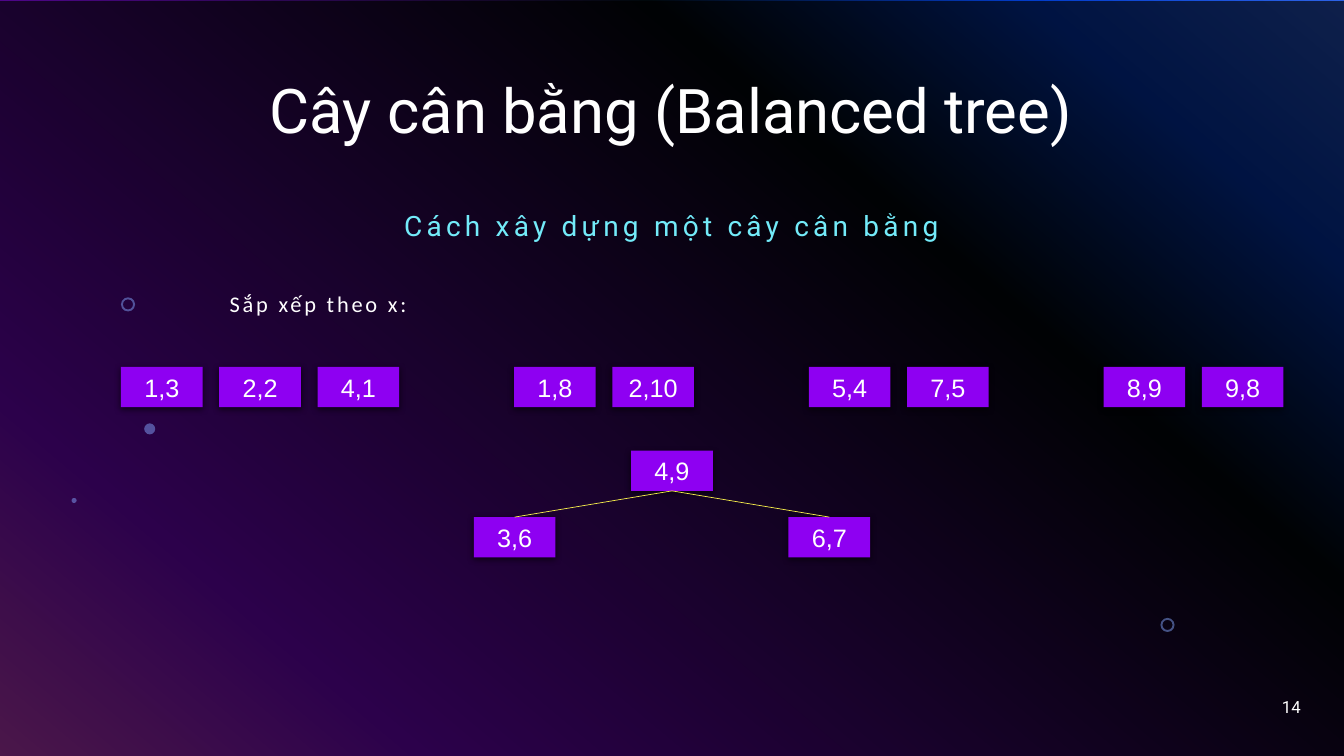
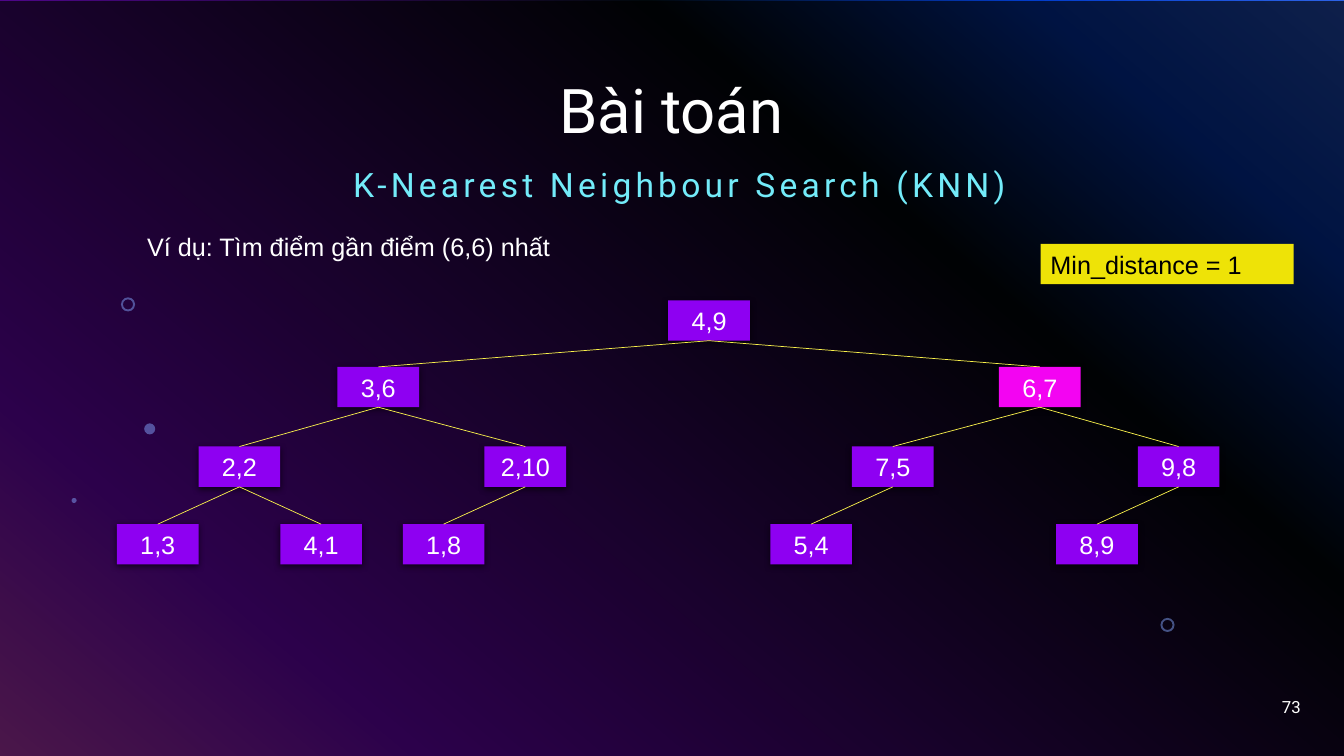
"""Builds two slides on balanced trees and nearest neighbour search."""
from lxml.etree import SubElement
from pptx import Presentation
from pptx.dml.color import RGBColor
from pptx.enum.shapes import MSO_CONNECTOR, MSO_SHAPE
from pptx.enum.text import MSO_ANCHOR, MSO_AUTO_SIZE, PP_ALIGN
from pptx.oxml.ns import qn
from pptx.util import Inches, Pt

WHITE = RGBColor(0xFF, 0xFF, 0xFF)
BLACK = RGBColor(0x00, 0x00, 0x00)
CYAN = RGBColor(0x73, 0xEB, 0xF9)
PURPLE = RGBColor(0x8E, 0x00, 0xF2)
PINK = RGBColor(0xF3, 0x04, 0xF2)
YELLOW = RGBColor(0xEE, 0xE3, 0x07)
BRANCH = RGBColor(0xFA, 0xF2, 0x4C)
ORNAMENT = RGBColor(0x83, 0xA7, 0xFD)
BACKGROUND = [
    (0, RGBColor(0x31, 0x6C, 0xFC)),
    (14, RGBColor(0x03, 0x43, 0xDF)),
    (31, RGBColor(0x02, 0x09, 0x0E)),
    (81, RGBColor(0x94, 0x05, 0xFC)),
    (100, RGBColor(0xFC, 0x4E, 0xFB)),
]

SLIDE_W, SLIDE_H = 13.33, 7.5
NODE_W, NODE_H = 0.81, 0.4

ORNAMENTS = [
    (MSO_SHAPE.DONUT, 11.51, 6.13, 0.14, 0.14),
    (MSO_SHAPE.DONUT, 1.2, 2.95, 0.14, 0.14),
    (MSO_SHAPE.OVAL, 1.43, 4.2, 0.11, 0.11),
    (MSO_SHAPE.OVAL, 0.71, 4.94, 0.05, 0.05),
]

SORTED_LEFT = 1.2
SORTED_PITCH = 10.72 / 11
SORTED_TOP = 3.64
SORTED_POINTS = [
    ("1,3", 0), ("2,2", 1), ("4,1", 2),
    ("1,8", 4), ("2,10", 5),
    ("5,4", 7), ("7,5", 8),
    ("8,9", 10), ("9,8", 11),
]

SMALL_TREE_LEFT, SMALL_TREE_PITCH = 4.7, 1.56
SMALL_TREE_ROWS = [4.47, 5.13]
SMALL_TREE = [
    ("4,9", None, 1, 0),
    ("3,6", "4,9", 0, 1),
    ("6,7", "4,9", 2, 1),
]

FULL_TREE_LEFT = 1.16
FULL_TREE_ROWS = [2.98, 3.64, 4.43, 5.2]
FULL_TREE = [
    ("4,9", None, 6.75, 0),
    ("3,6", "4,9", 2.7, 1),
    ("6,7", "4,9", 10.8, 1),
    ("2,2", "3,6", 1, 2),
    ("2,10", "3,6", 4.5, 2),
    ("7,5", "6,7", 9, 2),
    ("9,8", "6,7", 12.5, 2),
    ("1,3", "2,2", 0, 3),
    ("4,1", "2,2", 2, 3),
    ("1,8", "2,10", 3.5, 3),
    ("5,4", "7,5", 8, 3),
    ("8,9", "9,8", 11.5, 3),
]


def write(sp, text, size, color, font="Arial", align=PP_ALIGN.LEFT,
          anchor=MSO_ANCHOR.TOP, spacing=None, tracking=0):
    """Put one styled paragraph into a shape."""
    tf = sp.text_frame
    tf.word_wrap = True
    tf.vertical_anchor = anchor
    p = tf.paragraphs[0]
    p.alignment = align
    p.line_spacing = spacing
    r = p.add_run()
    r.text = text
    p.font.name = font
    p.font.size = Pt(size)
    p.font.color.rgb = color
    if tracking:
        r.font.language_id = None
        r._r.get_or_add_rPr().set("spc", str(tracking * 100))


def add_text(s, box, text, size, color, **style):
    """Add a text box at left, top, width, height."""
    sp = s.shapes.add_textbox(*map(Inches, box))
    write(sp, text, size, color, **style)


def add_filled(s, kind, box, color, alpha=None):
    """Add a preset shape with a flat fill and no outline."""
    sp = s.shapes.add_shape(kind, *map(Inches, box))
    sp.shadow.inherit = False
    sp.fill.solid()
    sp.fill.fore_color.rgb = color
    sp.line.fill.background()
    if alpha:
        clr = sp._element.spPr.find(qn("a:solidFill")).find(qn("a:srgbClr"))
        SubElement(clr, qn("a:alpha"), val=str(alpha * 1000))
    return sp


def add_node(s, label, left, top, color=PURPLE):
    """Add a tree node with a soft shadow below it."""
    sp = add_filled(s, MSO_SHAPE.RECTANGLE, (left, top, NODE_W, NODE_H), color)
    effects = sp._element.spPr.find(qn("a:effectLst"))
    shadow = SubElement(effects, qn("a:outerShdw"), blurRad=str(Pt(4.5)),
                        dist=str(Pt(1.5)), dir="5400000", algn="ctr", rotWithShape="0")
    clr = SubElement(shadow, qn("a:srgbClr"), val=str(BLACK))
    SubElement(clr, qn("a:alpha"), val="63000")
    write(sp, label, 18, WHITE, align=PP_ALIGN.CENTER)
    sp.text_frame.auto_size = MSO_AUTO_SIZE.SHAPE_TO_FIT_TEXT
    return sp


def add_branch(s, parent, child):
    """Join the bottom of a parent node to the top of its child."""
    line = s.shapes.add_connector(MSO_CONNECTOR.STRAIGHT, 0, 0, 0, 0)
    line.begin_connect(parent, 2)
    line.end_connect(child, 0)
    line.line.color.rgb = BRANCH
    line.line.width = Pt(0.5)
    SubElement(line._element.spPr, qn("a:effectLst"))


def add_tree(s, tree, left, pitch, rows, marked=None):
    """Draw nodes on a grid of columns and rows, then their branches."""
    nodes = {
        label: add_node(s, label, left + col * pitch, rows[row],
                        PINK if label == marked else PURPLE)
        for label, _, col, row in tree
    }
    for label, parent, _, _ in tree:
        if parent:
            add_branch(s, nodes[parent], nodes[label])


def paint_background(s):
    """Fill the slide with the diagonal gradient."""
    fill = s.background.fill
    fill.gradient()
    fill.gradient_angle = 230
    stops = s.element.find(".//" + qn("a:gsLst"))
    for stop in list(stops):
        stops.remove(stop)
    for pos, color in BACKGROUND:
        gs = SubElement(stops, qn("a:gs"), pos=str(pos * 1000))
        SubElement(gs, qn("a:srgbClr"), val=str(color))


def add_base(prs, title, subtitle, subtitle_box, subtitle_size, number):
    """Add a slide with the shared backdrop, headings and page number."""
    s = prs.slides.add_slide(prs.slide_layouts[6])
    paint_background(s)
    add_filled(s, MSO_SHAPE.RECTANGLE, (0, 0.01, SLIDE_W, SLIDE_H - 0.01), BLACK, 70)
    for kind, *box in ORNAMENTS:
        sp = add_filled(s, kind, box, ORNAMENT, 49)
        if kind == MSO_SHAPE.DONUT:
            sp.adjustments[0] = 0.14
    heading = dict(font="Roboto", align=PP_ALIGN.CENTER, anchor=MSO_ANCHOR.MIDDLE, spacing=0.9)
    add_text(s, (0.91, 0.4, 11.5, 1.45), title, 44, WHITE, **heading)
    add_text(s, subtitle_box, subtitle, subtitle_size, CYAN, tracking=3, **heading)
    add_text(s, (10, 6.81, 3, 0.4), number, 12, WHITE, font="Roboto",
             align=PP_ALIGN.RIGHT, anchor=MSO_ANCHOR.MIDDLE)
    return s


def build_balanced_tree(prs):
    """Show the points sorted by x and the first levels of the tree."""
    s = add_base(prs, "Cây cân bằng (Balanced tree)", "Cách xây dựng một cây cân bằng",
                 (1.74, 1.98, 9.84, 0.56), 20, "14")
    add_text(s, (2.18, 2.86, 9.86, 0.4), "Sắp xếp theo x:", 16, WHITE,
             font="Calibri", spacing=0.9, tracking=2)
    for label, col in SORTED_POINTS:
        add_node(s, label, SORTED_LEFT + col * SORTED_PITCH, SORTED_TOP)
    add_tree(s, SMALL_TREE, SMALL_TREE_LEFT, SMALL_TREE_PITCH, SMALL_TREE_ROWS)


def build_neighbour_search(prs):
    """Show the full tree with the visited node marked."""
    s = add_base(prs, "Bài toán", "K-Nearest Neighbour Search (KNN)",
                 (1.82, 1.35, 9.84, 1), 24, "73")
    add_tree(s, FULL_TREE, FULL_TREE_LEFT, NODE_W, FULL_TREE_ROWS, marked="6,7")
    add_text(s, (1.36, 2.25, 4.25, 0.4), "Ví dụ: Tìm điểm gần điểm (6,6) nhất", 18, WHITE)
    sp = add_filled(s, MSO_SHAPE.RECTANGLE, (10.32, 2.42, 2.51, NODE_H), YELLOW)
    write(sp, "Min_distance = 1", 18, BLACK)


def main():
    """Build and save the presentation."""
    prs = Presentation()
    prs.slide_width = Inches(SLIDE_W)
    prs.slide_height = Inches(SLIDE_H)
    build_balanced_tree(prs)
    build_neighbour_search(prs)
    prs.save("out.pptx")


if __name__ == "__main__":
    main()
